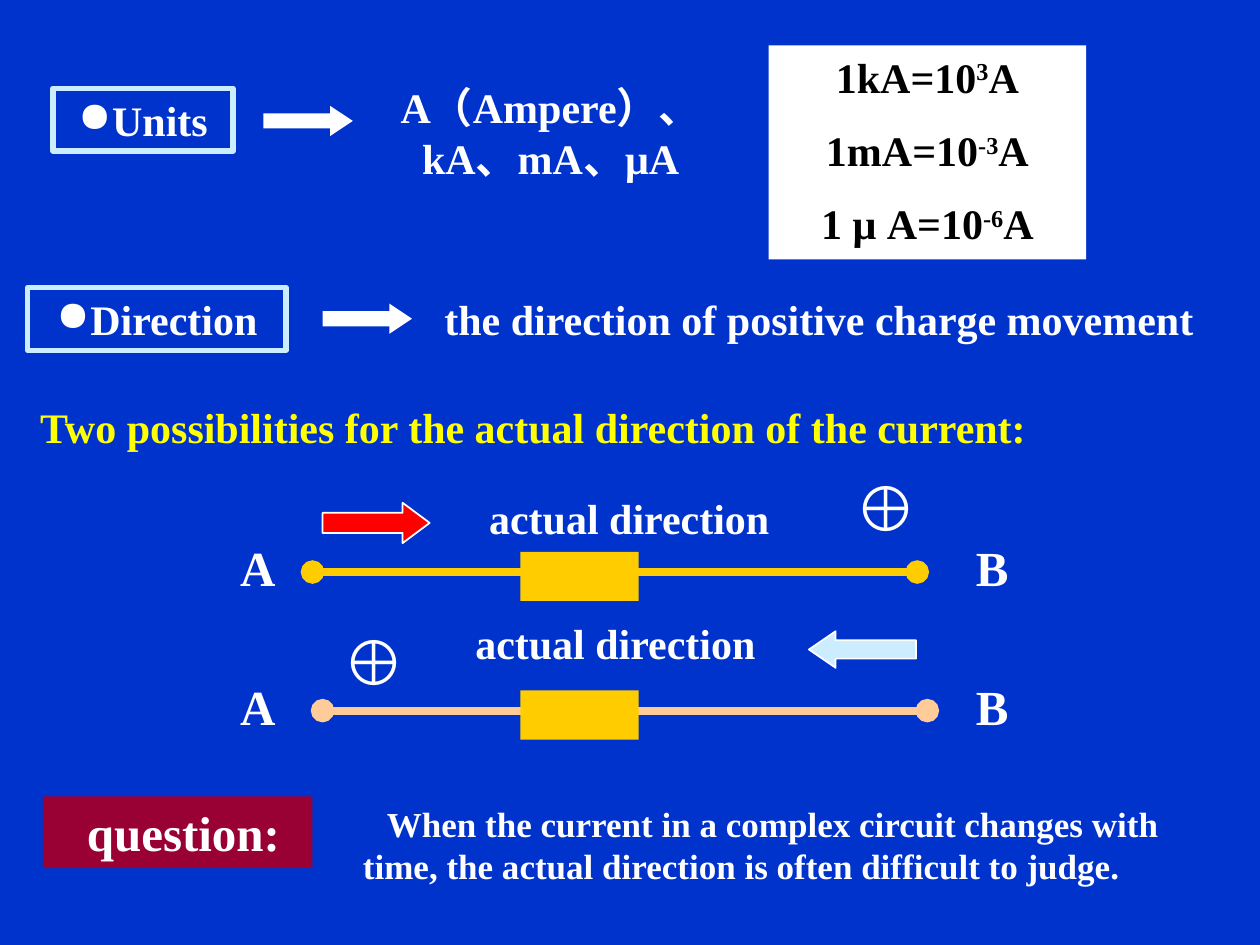
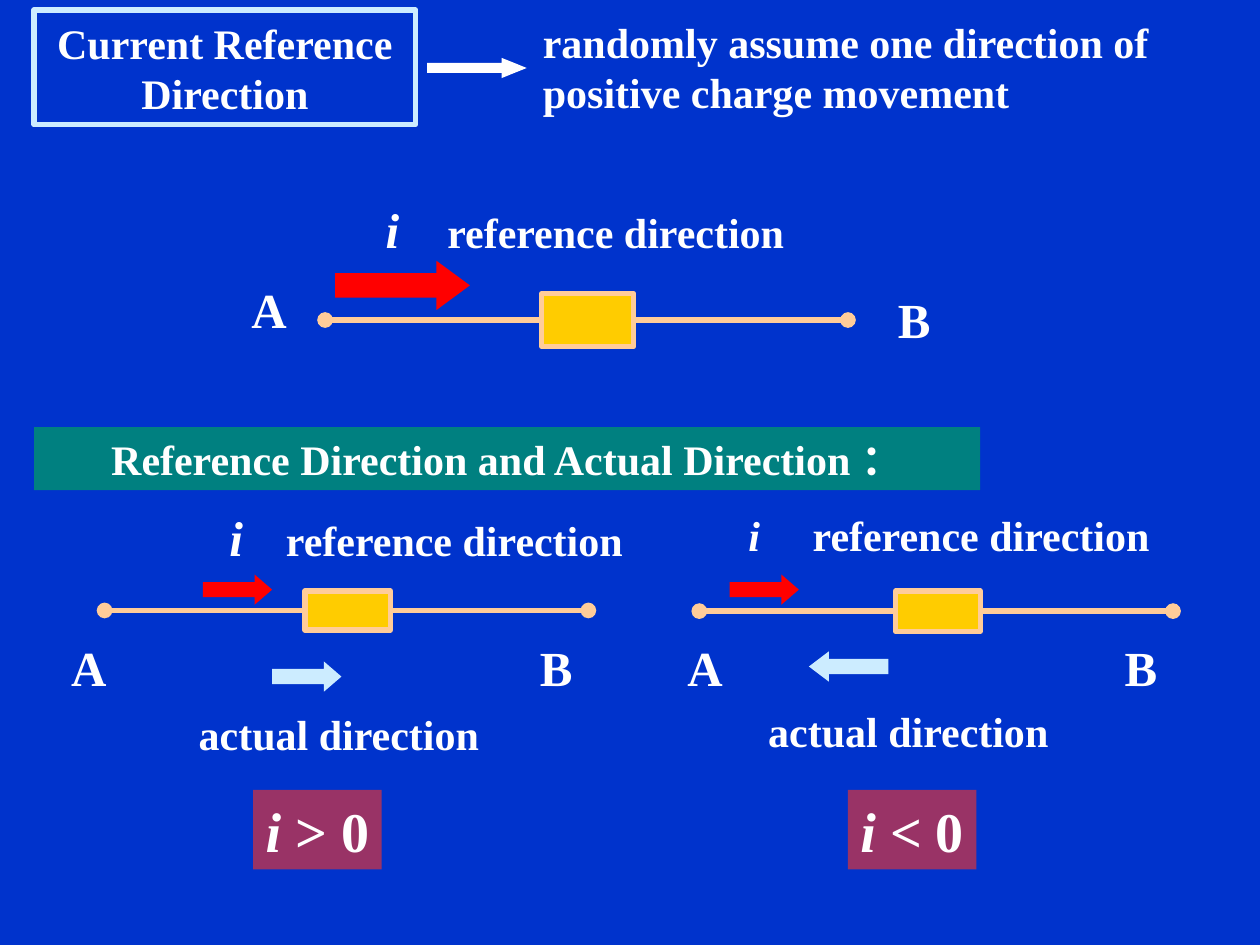
from lxml.etree import SubElement
from pptx import Presentation
from pptx.dml.color import RGBColor
from pptx.enum.shapes import MSO_CONNECTOR, MSO_SHAPE
from pptx.enum.text import MSO_ANCHOR, PP_ALIGN
from pptx.oxml.ns import qn
from pptx.util import Inches, Pt

FONT = "Times New Roman"
BLUE, WHITE, BLACK, YELLOW = "0033CC", "FFFFFF", "000000", "FFFF00"
RED, ICE, GOLD, PEACH = "FF0000", "CCECFF", "FFCC00", "FFCC99"
CRIMSON, PLUM, TEAL = "990033", "993366", "008080"
RECT, RIGHT, LEFT = MSO_SHAPE.RECTANGLE, MSO_SHAPE.RIGHT_ARROW, MSO_SHAPE.LEFT_ARROW
TOP, MIDDLE = MSO_ANCHOR.TOP, MSO_ANCHOR.MIDDLE

deck = Presentation()
deck.slide_width, deck.slide_height = Inches(10), Inches(7.5)
CELL = deck.slide_width // 100  # square grid: 100 columns by 75 rows


def add_box(page, place, text="", size=24, color=WHITE, anchor=TOP, kind=RECT,
            fill=None, line=None, weight=3, head=None):
    """Add a shape at (column, row, columns, rows); "|" in text parts the runs,
    and head is the length of an arrow's head."""
    box = page.shapes.add_shape(kind, *[round(n * CELL) for n in place])
    box.shadow.inherit = False
    if fill:
        box.fill.solid()
        box.fill.fore_color.rgb = RGBColor.from_string(fill)
    else:
        box.fill.background()
    if line:
        box.line.color.rgb = RGBColor.from_string(line)
        box.line.width = Pt(weight)
    else:
        box.line.fill.background()
    if head:
        box.adjustments[1] = head
    frame = box.text_frame
    frame.word_wrap = True
    frame.vertical_anchor = anchor
    for index, words in enumerate(text.split("\n") if text else []):
        para = frame.paragraphs[0] if index == 0 else frame.add_paragraph()
        para.alignment = PP_ALIGN.CENTER
        if index:
            para.space_before = Pt(13)
        for part in words.split("|"):
            span = para.add_run()
            span.text = part
            span.font.name, span.font.size, span.font.bold = FONT, Pt(size), True
            span.font.color.rgb = RGBColor.from_string(color)
    return box


def add_wire(page, start, end, color, weight, dots):
    """Draw a line with a round dot at each end named in dots."""
    ends = [round(n * CELL) for n in (*start, *end)]
    wire = page.shapes.add_connector(MSO_CONNECTOR.STRAIGHT, *ends)
    wire.line.color.rgb = RGBColor.from_string(color)
    wire.line.width = Pt(weight)
    for dot in dots:
        SubElement(wire.line._get_or_add_ln(), qn("a:" + dot), type="oval")
    SubElement(wire._element.spPr, qn("a:effectLst"))
    return wire


pages = []
for number in range(2):
    page = deck.slides.add_slide(deck.slide_layouts[6])
    page.background.fill.solid()
    page.background.fill.fore_color.rgb = RGBColor.from_string(BLUE)
    pages.append(page)
actual_page, reference_page = pages

# Slide 1: units, direction and the two actual directions
page = actual_page
for place, topic in [((4.2, 7, 14.3, 5), "Units"), ((2.2, 22.8, 20.5, 5), "Direction")]:
    box = add_box(page, place, topic, line=ICE)
    props = box.text_frame.paragraphs[0]._p.get_or_add_pPr()
    props.set("marL", str(Inches(0.27)))
    props.set("indent", str(-Inches(0.27)))
    SubElement(props, qn("a:buChar"), char="●")
for column, row in [(20.9, 8.4), (25.6, 24.1)]:
    add_box(page, (column, row, 7.1, 2.4), kind=RIGHT, fill=WHITE, head=0.75)
add_box(page, (29.5, 6, 28.4, 9.1), "A（Ampere）、kA、mA、μA")
add_box(page, (31.9, 22.8, 66.2, 5), "the direction of positive charge movement")

scales = add_box(page, (61, 3.6, 25.2, 17),
                 "1kA=10|3|A\n1mA=10|-3|A\n1 μ A=10|-6|A", color=BLACK, fill=WHITE)
for para in scales.text_frame.paragraphs:
    para.runs[1].font._element.set("baseline", "30000")

heading = add_box(page, (2.2, 29.4, 84, 7.1),
                  "Two possibilities for the actual direction of the current:", color=YELLOW)
heading.text_frame.paragraphs[0].alignment = PP_ALIGN.LEFT
heading.text_frame.paragraphs[0].line_spacing = 1.5

for row, first, color in [(45.4, 24.8, GOLD), (56.4, 25.6, PEACH)]:
    add_wire(page, (first, row), (first + 48, row), color, 4.5, ["headEnd", "tailEnd"])
    add_box(page, (41.3, row - 1.6, 9.4, 3.9), fill=GOLD)
    for column, name in [(16.9, "A"), (75.2, "B")]:
        add_box(page, (column, row - 3.2, 7.1, 5.7), name, 28)
add_box(page, (25.6, 39.9, 8.5, 3.2), kind=RIGHT, fill=RED, line=WHITE, weight=1, head=0.67)
add_box(page, (64.2, 50.1, 8.5, 2.9), kind=LEFT, fill=ICE, line=WHITE, weight=1, head=0.73)
for column, row in [(35.8, 39.1), (34.7, 49)]:
    add_box(page, (column, row, 28.3, 4), "actual direction", anchor=MIDDLE)
for column, row in [(65.8, 37.4), (25.2, 49.6)]:
    add_box(page, (column, row, 9, 5.6), "⊕", 36, anchor=MIDDLE)

question = add_box(page, (3.4, 63.2, 21.4, 5.7), "question:", 28, fill=CRIMSON)
question.text_frame.margin_left = Inches(0.19)
remark = add_box(page, (22.6, 63.2, 72.5, 7.7), "When the current in a complex circuit changes "
                 "with time, the actual direction is often difficult to judge.", 20)
remark.text_frame.paragraphs[0]._p.get_or_add_pPr().set("indent", str(Inches(0.5)))

# Slide 2: the reference direction and how it compares with the actual one
page = reference_page
add_box(page, (2.7, 0.8, 30.3, 9.1), "Current Reference Direction", anchor=MIDDLE, line=ICE)
add_box(page, (33.9, 4.6, 7.9, 1.6), kind=RIGHT, fill=WHITE, head=1.24)
meaning = add_box(page, (42.1, 0.8, 55.2, 9.1),
                  "randomly assume one direction of positive charge movement")
meaning.text_frame.paragraphs[0].alignment = PP_ALIGN.LEFT
add_box(page, (2.7, 33.9, 75.1, 5), "Reference Direction and Actual Direction ：",
        anchor=MIDDLE, fill=TEAL)

# resistor place, left and right wire ends
circuits = [((43, 23.3, 7.3, 4.2), 25.8, 67.3),
            ((24.2, 46.9, 6.8, 3.1), 8.3, 46.7),
            ((71.1, 46.9, 6.7, 3.2), 55.5, 93.1)]
for place, left_end, right_end in circuits:
    resistor = add_box(page, place, fill=GOLD, line=PEACH)
    column, row, columns, rows = place
    middle = row + rows / 2
    for side, edge, end in [(1, column, left_end), (3, column + columns, right_end)]:
        wire = add_wire(page, (edge, middle), (end, middle), PEACH, 3, ["tailEnd"])
        wire.begin_connect(resistor, side)

# label place, inset of the symbol, tab to the words, symbol size
labels = [((22.8, 15.3, 49.1, 5.7), 0.78, 0.49, 28),
          ((15.3, 39.8, 37, 5.7), 0.29, 0.45, 28),
          ((57.5, 39.9, 37, 5), 0.19, 0.51, 24)]
for place, inset, tab, size in labels:
    label = add_box(page, place, "i|\treference direction", anchor=MIDDLE)
    label.text_frame.margin_left = Inches(inset)
    para = label.text_frame.paragraphs[0]
    para.alignment = PP_ALIGN.LEFT
    stops = SubElement(para._p.get_or_add_pPr(), qn("a:tabLst"))
    SubElement(stops, qn("a:tab"), pos=str(Inches(tab)), algn="l")
    para.runs[0].font.italic = True
    para.runs[0].font.size = Pt(size)

for place, kind, color, head in [((26.6, 20.7, 10.7, 3.9), RIGHT, RED, 0.68),
                                 ((16.1, 45.6, 5.5, 2.4), RIGHT, RED, 0.58),
                                 ((57.9, 45.6, 5.5, 2.4), RIGHT, RED, 0.58),
                                 ((21.6, 52.5, 5.5, 2.4), RIGHT, ICE, 0.58),
                                 ((64.2, 51.7, 6.3, 2.4), LEFT, ICE, 0.66)]:
    add_box(page, place, kind=kind, fill=color, head=head)

for column, row, name in [(17.8, 21.7, "A"), (69, 22.5, "B"), (3.5, 50.1, "A"),
                          (40.6, 50.1, "B"), (52.4, 50.1, "A"), (87, 50.1, "B")]:
    add_box(page, (column, row, 7.1, 5.7), name, 28)
for column, row in [(13.4, 55.7), (58.6, 55.5)]:
    add_box(page, (column, row, 27, 5), "actual direction", anchor=MIDDLE)
for column, sign in [(20.1, ">"), (67.3, "<")]:
    result = add_box(page, (column, 62.7, 10.2, 6.3), f"i| {sign} 0", 32,
                     anchor=MIDDLE, fill=PLUM)
    result.text_frame.word_wrap = False
    result.text_frame.paragraphs[0].runs[0].font.italic = True

deck.save("out.pptx")
